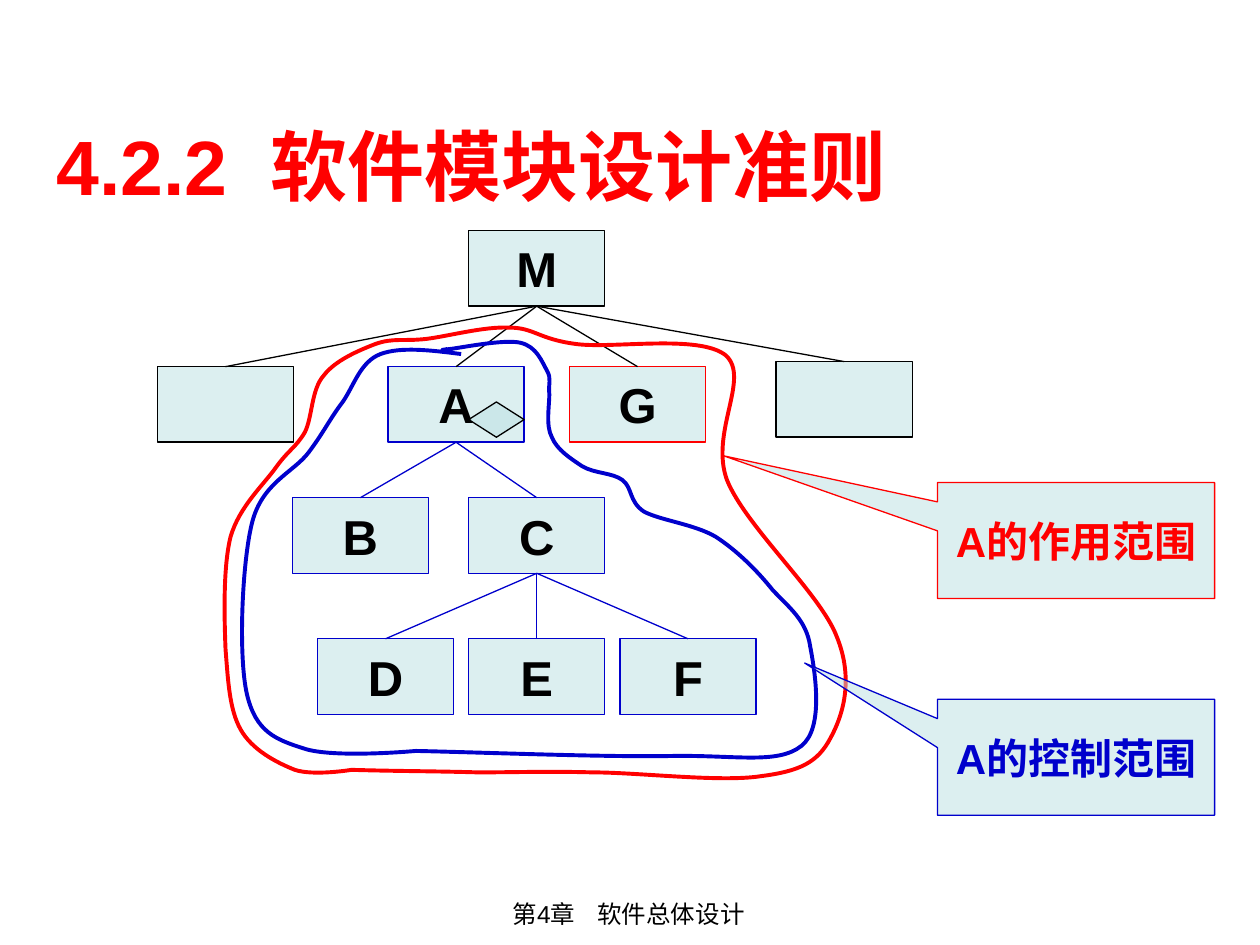
from lxml.etree import SubElement
from pptx import Presentation
from pptx.dml.color import RGBColor
from pptx.enum.shapes import MSO_CONNECTOR, MSO_SHAPE
from pptx.enum.text import MSO_ANCHOR, MSO_AUTO_SIZE, PP_ALIGN
from pptx.oxml.ns import qn
from pptx.util import Inches, Pt

# Content
TITLE = "4.2.2  软件模块设计准则"
FOOTER = "第4章    软件总体设计"
BLACK, BLUE, RED, PALE = "000000", "0000CC", "FF0000", "BBE0E3"

# Module key: label, left, top, outline colour
MODULES = {
    "M": ("M", 3.72, 1.83, BLACK),
    "left": ("", 1.25, 2.91, BLACK),
    "A": ("A", 3.08, 2.91, BLUE),
    "G": ("G", 4.52, 2.91, RED),
    "right": ("", 6.16, 2.87, BLACK),
    "B": ("B", 2.32, 3.95, BLUE),
    "C": ("C", 3.72, 3.95, BLUE),
    "D": ("D", 2.52, 5.07, BLUE),
    "E": ("E", 3.72, 5.07, BLUE),
    "F": ("F", 4.92, 5.07, BLUE),
}
MODULE_SIZE = (1.08, 0.6)
CALLS = [
    ("M", ["left", "A", "G", "right"], BLACK),
    ("A", ["B", "C"], BLUE),
    ("C", ["D", "E", "F"], BLUE),
]

# Text, top, pointer offsets, colour
CALLOUTS = [
    ("A的作用范围", 3.83, (-1.271, -0.731), RED),
    ("A的控制范围", 5.55, (-0.979, -0.813), BLUE),
]

# Scope outlines: a start point, then two handles and an end point per curve
CONTROL_SCOPE = [
    (3.66, 2.81),
    (3.42, 2.78), (3.18, 2.75), (3.02, 2.81),
    (2.86, 2.87), (2.81, 3.06), (2.72, 3.19),
    (2.62, 3.32), (2.57, 3.43), (2.45, 3.59),
    (2.33, 3.75), (2.08, 3.83), (2.00, 4.15),
    (1.92, 4.47), (1.89, 5.21), (1.96, 5.51),
    (2.03, 5.81), (2.19, 5.87), (2.41, 5.94),
    (2.64, 6.02), (3.30, 5.96), (3.30, 5.96),
    (3.79, 5.97), (4.81, 6.01), (5.32, 6.00),
    (5.83, 5.99), (6.17, 6.07), (6.36, 5.92),
    (6.54, 5.78), (6.47, 5.34), (6.43, 5.13),
    (6.40, 4.92), (6.26, 4.82), (6.13, 4.68),
    (6.01, 4.53), (5.85, 4.37), (5.68, 4.26),
    (5.51, 4.16), (5.24, 4.13), (5.11, 4.06),
    (4.99, 3.98), (5.02, 3.87), (4.94, 3.81),
    (4.86, 3.75), (4.72, 3.76), (4.62, 3.70),
    (4.53, 3.64), (4.42, 3.57), (4.38, 3.47),
    (4.33, 3.38), (4.36, 3.22), (4.36, 3.13),
    (4.35, 3.04), (4.38, 3.01), (4.34, 2.94),
    (4.30, 2.87), (4.26, 2.75), (4.13, 2.72),
    (4.00, 2.69), (3.66, 2.76), (3.57, 2.77),
    (3.47, 2.78), (3.51, 2.78), (3.55, 2.77),
]
EFFECT_SCOPE = [
    (4.04, 2.60),
    (3.84, 2.59), (3.55, 2.67), (3.38, 2.69),
    (3.20, 2.71), (3.12, 2.68), (2.98, 2.73),
    (2.85, 2.78), (2.66, 2.86), (2.57, 2.98),
    (2.47, 3.09), (2.48, 3.31), (2.42, 3.43),
    (2.35, 3.55), (2.29, 3.57), (2.19, 3.71),
    (2.09, 3.85), (1.90, 4.02), (1.83, 4.26),
    (1.77, 4.50), (1.78, 4.89), (1.79, 5.15),
    (1.81, 5.40), (1.82, 5.63), (1.91, 5.79),
    (2.00, 5.95), (2.19, 6.05), (2.34, 6.11),
    (2.49, 6.16), (2.79, 6.11), (2.79, 6.11),
    (3.12, 6.12), (3.46, 6.12), (3.79, 6.13),
    (4.11, 6.13), (4.33, 6.12), (4.70, 6.13),
    (5.07, 6.13), (5.72, 6.21), (6.04, 6.16),
    (6.35, 6.12), (6.49, 6.05), (6.59, 5.86),
    (6.69, 5.68), (6.78, 5.39), (6.64, 5.05),
    (6.51, 4.71), (5.92, 4.18), (5.77, 3.81),
    (5.63, 3.43), (5.96, 3.00), (5.76, 2.82),
    (5.55, 2.65), (4.86, 2.77), (4.57, 2.73),
    (4.27, 2.69), (4.24, 2.60), (4.04, 2.60),
]


def rgb(value):
    return RGBColor.from_string(value)


def write(frame, text, size, color, bold=True, align=PP_ALIGN.CENTER):
    frame.text = text
    frame.word_wrap = True
    frame.vertical_anchor = MSO_ANCHOR.MIDDLE
    paragraph = frame.paragraphs[0]
    paragraph.alignment = align
    for run in paragraph.runs:
        run.font.name = "Arial"
        run.font.size = Pt(size)
        run.font.bold = bold
        run.font.color.rgb = rgb(color)


def outline(part, color, width=0.75):
    part.line.color.rgb = rgb(color)
    part.line.width = Pt(width)


def add_box(slide, kind, box, color, text="", size=28, text_color=BLACK):
    shape = slide.shapes.add_shape(kind, *map(Inches, box))
    shape.shadow.inherit = False
    shape.fill.solid()
    shape.fill.fore_color.rgb = rgb(PALE)
    fill_color = shape.fill._xPr.find(qn("a:solidFill"))[0]
    SubElement(fill_color, qn("a:alpha"), val="50000")
    outline(shape, color)
    if text:
        frame = shape.text_frame
        frame.margin_left = frame.margin_right = 0
        frame.margin_top = frame.margin_bottom = 0
        write(frame, text, size, text_color)
    return shape


def add_call(slide, caller, callee, color):
    line = slide.shapes.add_connector(MSO_CONNECTOR.STRAIGHT, 0, 0, 0, 0)
    line.begin_connect(caller, 2)
    line.end_connect(callee, 0)
    outline(line, color)
    SubElement(line._element.spPr, qn("a:effectLst"))


def add_scope(slide, points, color, close):
    start_point, *curve_points = [(Inches(x), Inches(y)) for x, y in points]
    builder = slide.shapes.build_freeform(*start_point)
    builder.add_line_segments(curve_points, close=close)
    scope = builder.convert_to_shape()
    scope.shadow.inherit = False
    scope.fill.background()
    outline(scope, color, 2.25)
    # Join each three straight segments into one Bezier curve
    segments = list(scope._element.iter(qn("a:lnTo")))
    for start in range(0, len(segments) - 2, 3):
        first = segments[start]
        curve = first.makeelement(qn("a:cubicBezTo"))
        first.addprevious(curve)
        for segment in segments[start:start + 3]:
            curve.append(segment[0])
            segment.getparent().remove(segment)


def main():
    deck = Presentation()
    deck.slide_width, deck.slide_height = Inches(10), Inches(7.5)
    slide = deck.slides.add_slide(deck.slide_layouts[5])

    # Title and footer
    title = slide.shapes.title
    title.left, title.top = Inches(0.35), Inches(0.83)
    title.width, title.height = Inches(9), Inches(0.95)
    write(title.text_frame, TITLE, 44, RED, align=PP_ALIGN.LEFT)
    title.text_frame.auto_size = MSO_AUTO_SIZE.NONE
    footer = slide.shapes.add_textbox(*map(Inches, (2.35, 7.08, 5.28, 0.34)))
    write(footer.text_frame, FOOTER, 14, BLACK, bold=False)

    # Module tree
    modules = {
        key: add_box(slide, MSO_SHAPE.RECTANGLE, (left, top, *MODULE_SIZE), color, label)
        for key, (label, left, top, color) in MODULES.items()
    }
    for caller, callees, color in CALLS:
        for callee in callees:
            add_call(slide, modules[caller], modules[callee], color)
    add_box(slide, MSO_SHAPE.FLOWCHART_DECISION, (3.72, 3.19, 0.44, 0.28), BLACK)

    # Scopes and their callouts
    add_scope(slide, CONTROL_SCOPE, BLUE, close=False)
    add_scope(slide, EFFECT_SCOPE, RED, close=True)
    for text, top, pointer, color in CALLOUTS:
        callout = add_box(slide, MSO_SHAPE.RECTANGULAR_CALLOUT,
                          (7.44, top, 2.2, 0.92), color, text, 24, color)
        callout.adjustments[0], callout.adjustments[1] = pointer

    deck.save("out.pptx")


if __name__ == "__main__":
    main()
